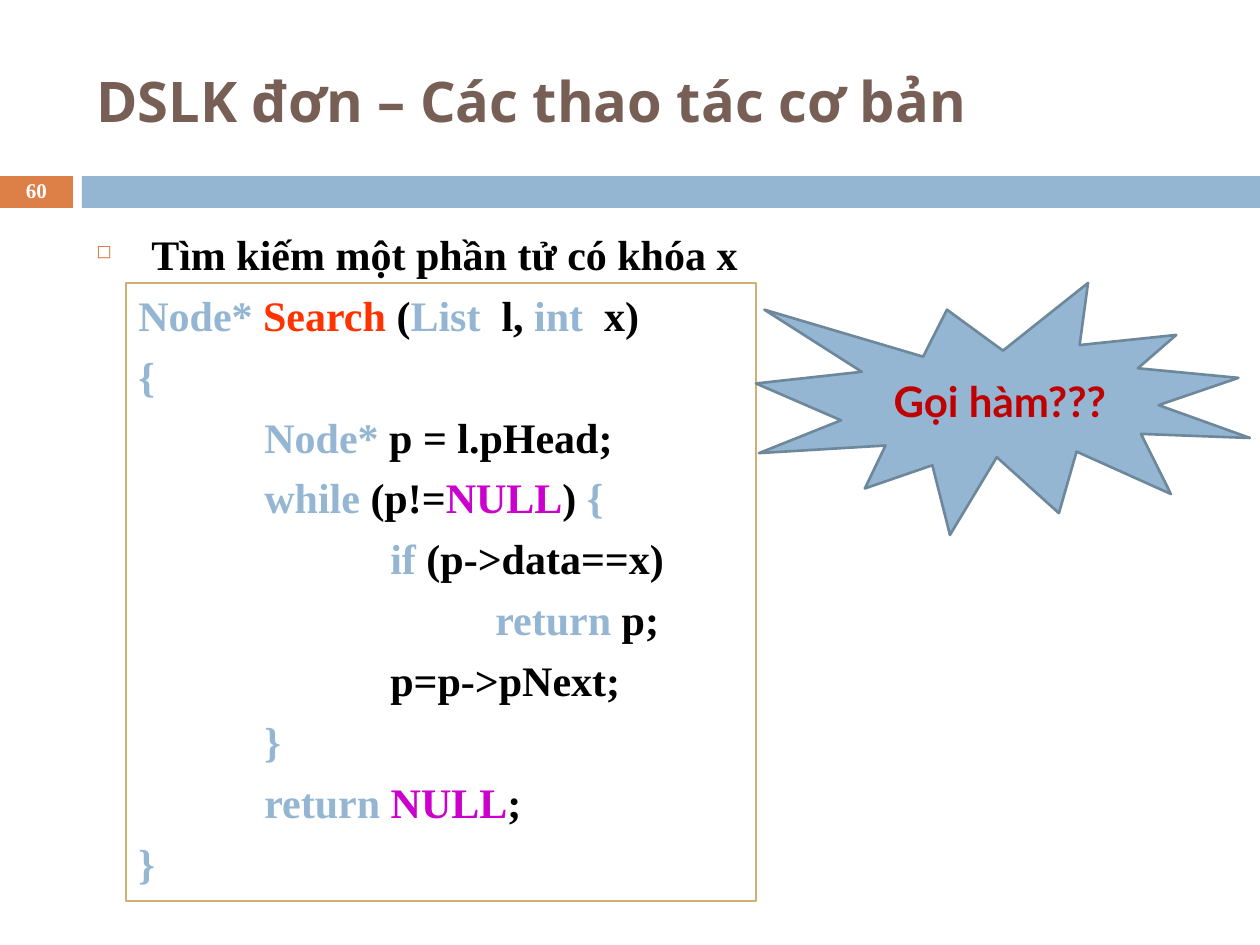
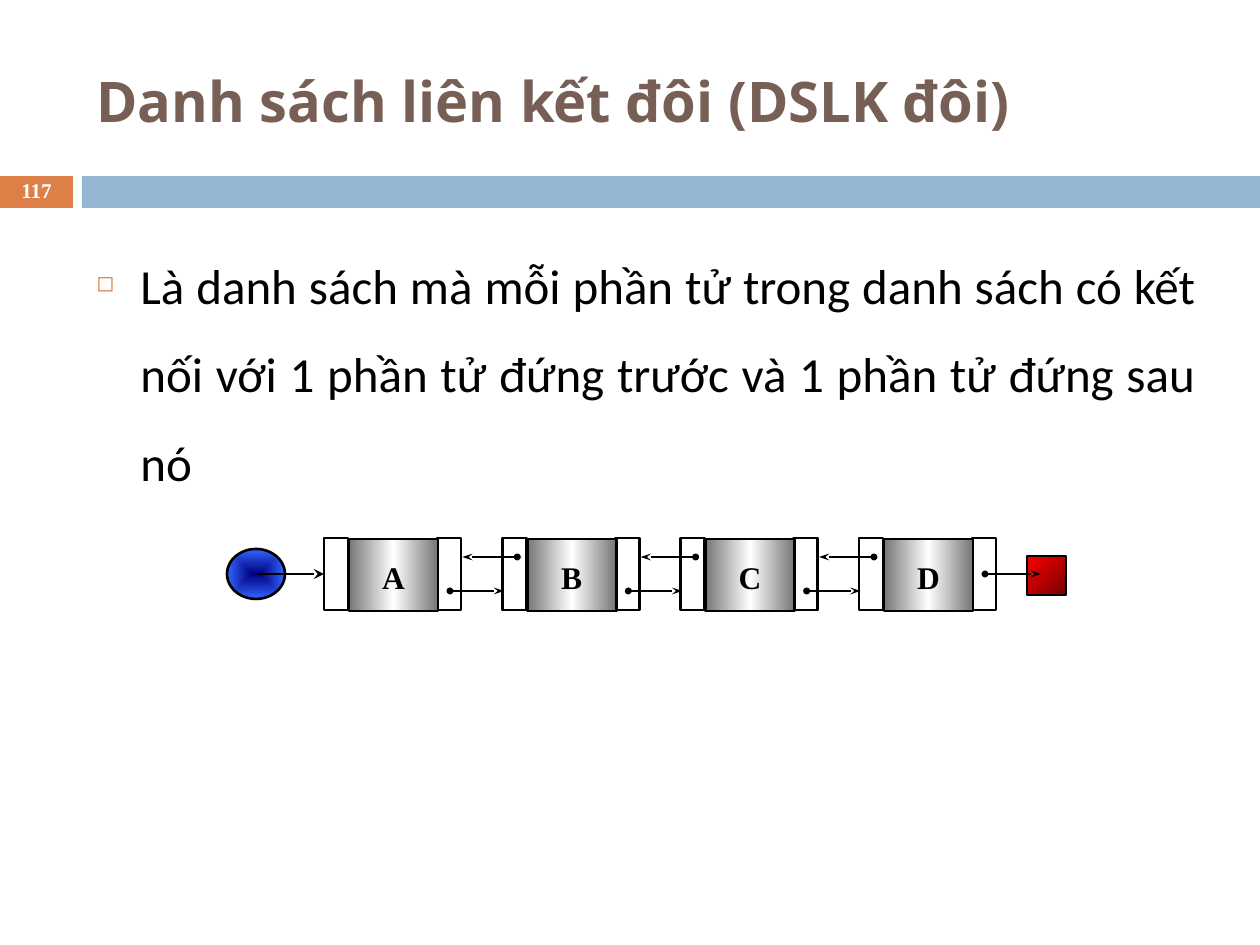
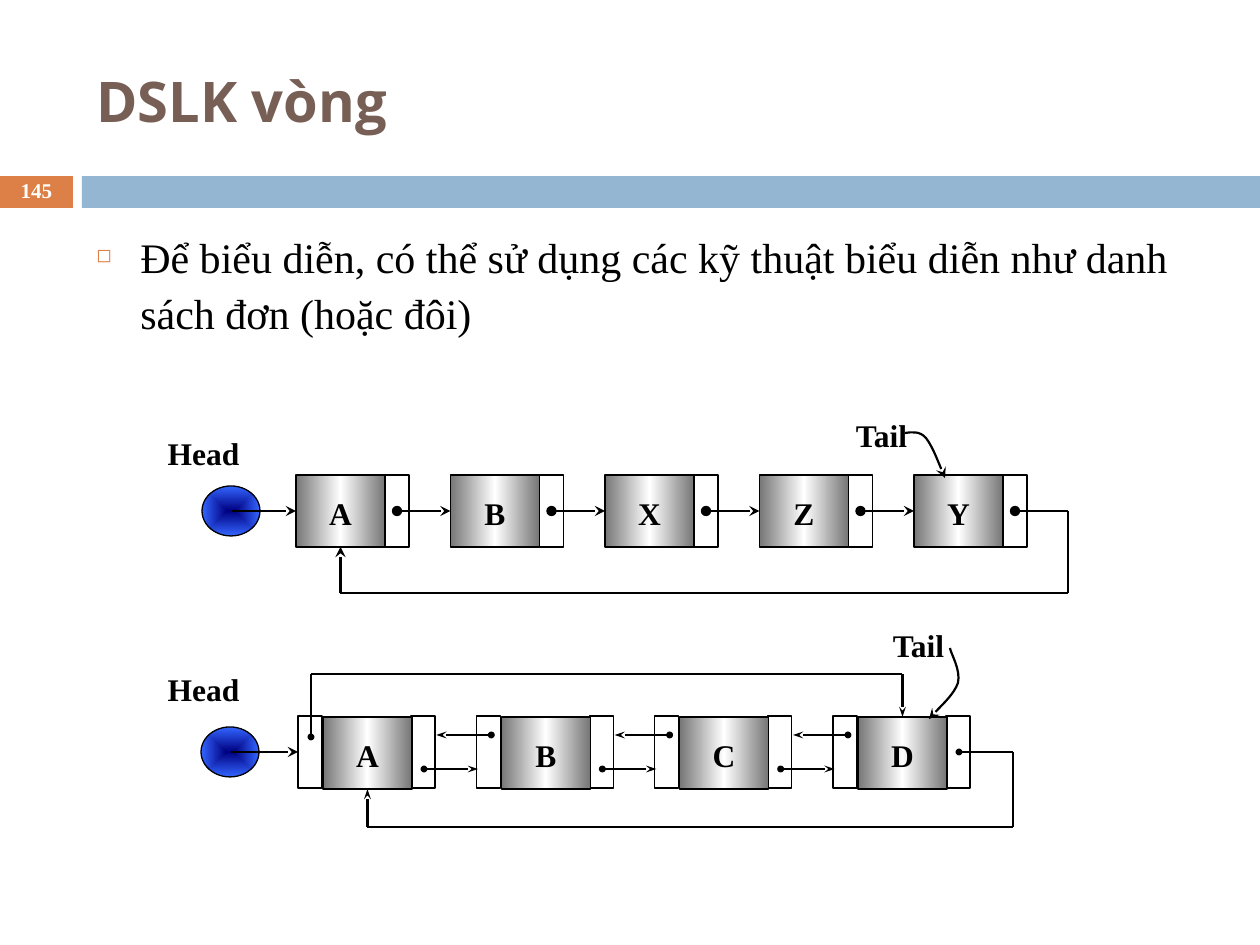
from lxml import etree
from pptx import Presentation
from pptx.dml.color import RGBColor
from pptx.enum.shapes import MSO_CONNECTOR, MSO_SHAPE
from pptx.enum.text import MSO_ANCHOR, PP_ALIGN
from pptx.oxml import parse_xml
from pptx.oxml.ns import nsdecls, qn
from pptx.util import Emu, Inches, Pt

RECT, OVAL, BURST = MSO_SHAPE.RECTANGLE, MSO_SHAPE.OVAL, MSO_SHAPE.EXPLOSION1
STRAIGHT = MSO_CONNECTOR.STRAIGHT
LEFT, CENTER, JUSTIFY = PP_ALIGN.LEFT, PP_ALIGN.CENTER, PP_ALIGN.JUSTIFY
TOP, MIDDLE = MSO_ANCHOR.TOP, MSO_ANCHOR.MIDDLE
SIDE_TOP, SIDE_LEFT, SIDE_BOTTOM = 0, 1, 2

PX = Inches(10) / 1260
SERIF, TITLE_FONT = "Times New Roman", "Open Sans"
BLACK, WHITE, BLUE, ORANGE = "000000", "FFFFFF", "94B6D2", "DD8047"
BROWN, RED, PURPLE, GOLD = "775F55", "FF3300", "CC00CC", "D0AF72"
SEAL_EDGE, SEAL_TEXT = "6D879B", "C00000"
METAL = ([(0, "767676"), (50, WHITE), (100, "767676")], 0)
RED_FADE = ([(0, "FF0000"), (100, "760000")], 45)
BLUE_GLOW = ([(0, "000080"), (100, "3366FF")], None)  # None: from the centre out

# Content
SEARCH = {
    "title": "DSLK đơn – Các thao tác cơ bản", "number": "60",
    "body": "Tìm kiếm một phần tử có khóa x",
    "format": dict(size=24, bold=True, spacing=Pt(30), indent=55),
}
DOUBLY = {
    "title": "Danh sách liên kết đôi (DSLK đôi)", "number": "117",
    "body": "Là danh sách mà mỗi phần tử trong danh sách có kết nối với "
            "1 phần tử đứng trước và 1 phần tử đứng sau nó",
    "format": dict(size=28, font="Calibri", spacing=1.5, indent=44, align=JUSTIFY),
}
CIRCULAR = {
    "title": "DSLK vòng", "number": "145",
    "body": "Để biểu diễn, có thể sử dụng các kỹ thuật biểu diễn như danh "
            "sách đơn (hoặc đôi)",
    "format": dict(size=24, spacing=Pt(32), indent=44),
}
# Code lines: indent in px, then coloured runs
CODE = [
    (0, [("Node* ", BLUE), ("Search ", RED), ("(", BLACK), ("List", BLUE),
         ("  l, ", BLACK), ("int", BLUE), ("  x)", BLACK)]),
    (0, [("{", BLUE)]),
    (126, [("Node*", BLUE), (" p = l.pHead;", BLACK)]),
    (126, [("while ", BLUE), ("(p!=", BLACK), ("NULL", PURPLE), (") ", BLACK),
           ("{", BLUE)]),
    (252, [("if", BLUE), (" (p->data==x)", BLACK)]),
    (357, [("return", BLUE), (" p;", BLACK)]),
    (252, [("p=p->pNext;", BLACK)]),
    (126, [("}", BLUE)]),
    (126, [("return ", BLUE), ("NULL", PURPLE), (";", BLACK)]),
    (0, [("}", BLUE)]),
]
CALL = "Gọi hàm???"
DOUBLE_NODES, SINGLE_NODES = "ABCD", "ABXZY"

# Parts of a list node, in px
NODE_H, DATA_W, LINK_W = 72, 89, 24
DATA_X, NEXT_X = 25, 113  # from the left of a double node
HEAD_W, HEAD_H = 58, 50
MID_Y, PREV_Y, NEXT_Y = 36, 19, 53  # arrow heights within a node


def rgb(colour):
    return RGBColor.from_string(colour)


def emu(*lengths):
    return [Emu(round(length * PX)) for length in lengths]


def set_gradient(shape, stops, angle):
    shape.fill.background()
    marks = "".join(f'<a:gs pos="{pos * 1000}"><a:srgbClr val="{colour}"/></a:gs>'
                    for pos, colour in stops)
    if angle is None:
        way = ('<a:path path="shape"><a:fillToRect l="50000" t="50000" '
               'r="50000" b="50000"/></a:path>')
    else:
        way = f'<a:lin ang="{angle * 60000}" scaled="0"/>'
    props = shape.element.spPr
    props.replace(props.find(qn("a:noFill")), parse_xml(
        f'<a:gradFill {nsdecls("a")} rotWithShape="1"><a:gsLst>{marks}</a:gsLst>'
        f'{way}</a:gradFill>'))


def add_box(slide, box, kind=RECT, fill=None, line=None, weight=1):
    shape = slide.shapes.add_shape(kind, *emu(*box))
    shape.shadow.inherit = False
    if isinstance(fill, tuple):
        set_gradient(shape, *fill)
    elif fill:
        shape.fill.solid()
        shape.fill.fore_color.rgb = rgb(fill)
    else:
        shape.fill.background()
    if line:
        shape.line.color.rgb = rgb(line)
        shape.line.width = Pt(weight)
    else:
        shape.line.fill.background()
    return shape


def add_bullet(props, indent):
    props.set("indent", str(-emu(indent)[0]))
    colour = etree.SubElement(props, qn("a:buClr"))
    etree.SubElement(colour, qn("a:srgbClr"), val=ORANGE)
    etree.SubElement(props, qn("a:buSzPct"), val="45000")
    etree.SubElement(props, qn("a:buChar"), char="◻")


def write(shape, text, size=18, font=SERIF, colour=BLACK, bold=False, align=LEFT,
          anchor=TOP, insets=None, spacing=None, before=None, indent=0, bullet=False):
    """Text is a string or a list of (indent, [(words, colour), ...]) lines."""
    frame = shape.text_frame
    frame.word_wrap = True
    frame.vertical_anchor = anchor
    if insets:
        (frame.margin_left, frame.margin_top,
         frame.margin_right, frame.margin_bottom) = emu(*insets)
    lines = [(indent, [(text, colour)])] if isinstance(text, str) else text
    for i, (left, runs) in enumerate(lines):
        para = frame.add_paragraph() if i else frame.paragraphs[0]
        para.alignment = align
        if spacing:
            para.line_spacing = spacing
        if before:
            para.space_before = Pt(before)
        props = para._p.get_or_add_pPr()
        props.set("marL", str(emu(left)[0]))
        if bullet:
            add_bullet(props, left)
        for words, run_colour in runs:
            run = para.add_run()
            run.text = words
            run.font.size, run.font.name, run.font.bold = Pt(size), font, bold
            run.font.color.rgb = rgb(run_colour)


def add_text(slide, box, text, **style):
    write(slide.shapes.add_textbox(*emu(*box)), text, **style)


def style_stroke(shape, weight, head=None, tail=None, dot="med"):
    shape.line.color.rgb = rgb(BLACK)
    shape.line.width = Pt(weight)
    stroke = shape.element.spPr.find(qn("a:ln"))
    if head:
        etree.SubElement(stroke, qn("a:headEnd"), type=head, w=dot, len=dot)
    if tail:
        etree.SubElement(stroke, qn("a:tailEnd"), type=tail, w=dot, len="med")


def add_route(slide, points, weight, head="oval", tail="stealth", target=None,
              dot="med"):
    """Straight pieces through the points; target is (box, side) for the end."""
    last = len(points) - 2
    for i, (start, end) in enumerate(zip(points, points[1:])):
        piece = slide.shapes.add_connector(STRAIGHT, *emu(*start, *end))
        if target and i == last:
            piece.end_connect(*target)
        style_stroke(piece, weight, None if i else head, tail if i == last else None,
                     dot)
        etree.SubElement(piece.element.spPr, qn("a:effectLst"))


def add_curve(slide, points, weight):
    """Cubic curve: a start point, then three points for each bend."""
    builder = slide.shapes.build_freeform(*points[0], scale=PX)
    builder.add_line_segments(points[1:], close=False)
    curve = builder.convert_to_shape()
    curve.shadow.inherit = False
    curve.fill.background()
    style_stroke(curve, weight, tail="stealth")
    steps = list(curve.element.iter(qn("a:lnTo")))
    for bend in zip(steps[::3], steps[1::3], steps[2::3]):
        cubic = etree.Element(qn("a:cubicBezTo"))
        bend[0].addprevious(cubic)
        for step in bend:
            cubic.append(step[0])
            step.getparent().remove(step)


def spread(first, last, count):
    return [first + (last - first) * i / (count - 1) for i in range(count)]


def add_data(slide, x, y, letter, weight):
    data = add_box(slide, (x, y, DATA_W, NODE_H), fill=METAL, line=BLACK, weight=weight)
    write(data, letter, bold=True, align=CENTER, anchor=MIDDLE, insets=(0, 4, 0, 0))
    return data


def add_head(slide, x, y, first_box, weight, stroke):
    add_box(slide, (x, y, HEAD_W, HEAD_H), OVAL, BLUE_GLOW, BLACK, weight)
    add_route(slide, [(x + 30, y + 25), (x + 98, y + 25)], stroke, head=None,
              target=(first_box, SIDE_LEFT))


def add_label(slide, x, y, width, text):
    add_text(slide, (x, y, width, 50), text, bold=True, align=CENTER, anchor=MIDDLE,
             insets=(0, 0, 0, 0))


def add_double_list(slide, first, last, y, weight, stroke):
    lefts = spread(first, last, len(DOUBLE_NODES))
    data = []
    for i, (x, letter) in enumerate(zip(lefts, DOUBLE_NODES)):
        prev_box, _ = [add_box(slide, (x + dx, y, LINK_W, NODE_H), line=BLACK,
                               weight=weight) for dx in (0, NEXT_X)]
        data.append(add_data(slide, x + DATA_X, y + 1, letter, weight))
        if i == 0:
            add_head(slide, x - 97, y + 11, prev_box, weight, stroke)
        else:
            add_route(slide, [(x + 15, y + PREV_Y), (x - 40, y + PREV_Y)], stroke,
                      dot="sm")
        if i < len(lefts) - 1:
            add_route(slide, [(x + 126, y + NEXT_Y), (x + 180, y + NEXT_Y)], stroke,
                      dot="sm")
    return data


def add_single_list(slide, first, last, y, weight, stroke):
    lefts = spread(first, last, len(SINGLE_NODES))
    data = []
    for x, letter in zip(lefts, SINGLE_NODES):
        add_box(slide, (x + DATA_W, y, LINK_W, NODE_H), fill=WHITE, line=BLACK,
                weight=weight)
        data.append(add_data(slide, x, y, letter, weight))
    for x, following, box in zip(lefts, lefts[1:], data[1:]):
        add_route(slide, [(x + 101, y + MID_Y), (following, y + MID_Y)], stroke,
                  target=(box, SIDE_LEFT))
    add_head(slide, first - 94, y + 11, data[0], weight, stroke)
    return data


def add_base(deck, content):
    """Bands, title, slide number and bulleted text, alike on each slide."""
    slide = deck.slides.add_slide(deck.slide_layouts[6])
    add_box(slide, (0, 176, 73, 32), fill=ORANGE)
    add_box(slide, (82, 176, 1178, 32), fill=BLUE)
    add_text(slide, (84, 32, 1124, 136), content["title"], size=32, font=TITLE_FONT,
             colour=BROWN, bold=True, anchor=MIDDLE)
    add_text(slide, (0, 175, 73, 34), content["number"], size=12, colour=WHITE,
             bold=True, align=CENTER, anchor=MIDDLE, spacing=0.8)
    add_text(slide, (84, 220, 1124, 620), content["body"], before=6, bullet=True,
             **content["format"])
    return slide


def add_search_slide(deck):
    slide = add_base(deck, SEARCH)
    listing = add_box(slide, (126, 283, 630, 618), line=GOLD, weight=0.75)
    write(listing, CODE, size=24, bold=True, before=6)
    seal = add_box(slide, (756, 283, 494, 252), BURST, BLUE, SEAL_EDGE, 1.5)
    write(seal, CALL, size=24, font="Lato", colour=SEAL_TEXT, bold=True, align=CENTER,
          anchor=MIDDLE)


def add_doubly_slide(deck):
    slide = add_base(deck, DOUBLY)
    first, last, y = 324, 859, 538
    add_box(slide, (1027, 556, 39, 39), fill=RED_FADE, line=BLACK, weight=1.5)
    add_double_list(slide, first, last, y, 1.5, 1.5)
    add_route(slide, [(last + 126, y + MID_Y), (last + 182, y + MID_Y)], 1.5, dot="sm")


def add_circular_slide(deck):
    slide = add_base(deck, CIRCULAR)
    weight, stroke = 0.75, 1.25

    # Single ring: the last link returns to the first node
    first, last, y = 296, 914, 475
    data = add_single_list(slide, first, last, y, weight, stroke)
    centre = first + DATA_W / 2
    add_route(slide, [(last + 101, y + MID_Y), (1068, y + MID_Y), (1068, 593),
                      (centre, 593), (centre, y + NODE_H)], stroke,
              target=(data[0], SIDE_BOTTOM))
    add_label(slide, 150, 428, 107, "Head")
    add_label(slide, 837, 410, 89, "Tail")
    add_curve(slide, [(905, 433), (912, 432), (920, 431), (926, 438),
                      (932, 446), (938, 461), (945, 478)], stroke)

    # Double ring: both ends are joined
    first, last, y = 298, 833, 716
    data = add_double_list(slide, first, last, y, weight, stroke)
    start, end = [x + DATA_X + DATA_W / 2 for x in (first, last)]
    add_route(slide, [(last + 126, y + MID_Y), (1013, y + MID_Y), (1013, 827),
                      (start, 827), (start, y + NODE_H + 1)], stroke,
              target=(data[0], SIDE_BOTTOM), dot="sm")
    add_route(slide, [(first + 13, 737), (first + 13, 674), (end, 674), (end, y + 1)],
              stroke, target=(data[-1], SIDE_TOP), dot="sm")
    add_label(slide, 150, 664, 107, "Head")
    add_label(slide, 874, 620, 89, "Tail")
    add_curve(slide, [(950, 648), (951, 654), (961, 670), (958, 683),
                      (954, 694), (935, 712), (929, 719)], stroke)


def main():
    deck = Presentation()
    deck.slide_width, deck.slide_height = emu(1260, 945)
    add_search_slide(deck)
    add_doubly_slide(deck)
    add_circular_slide(deck)
    deck.save("out.pptx")


if __name__ == "__main__":
    main()
